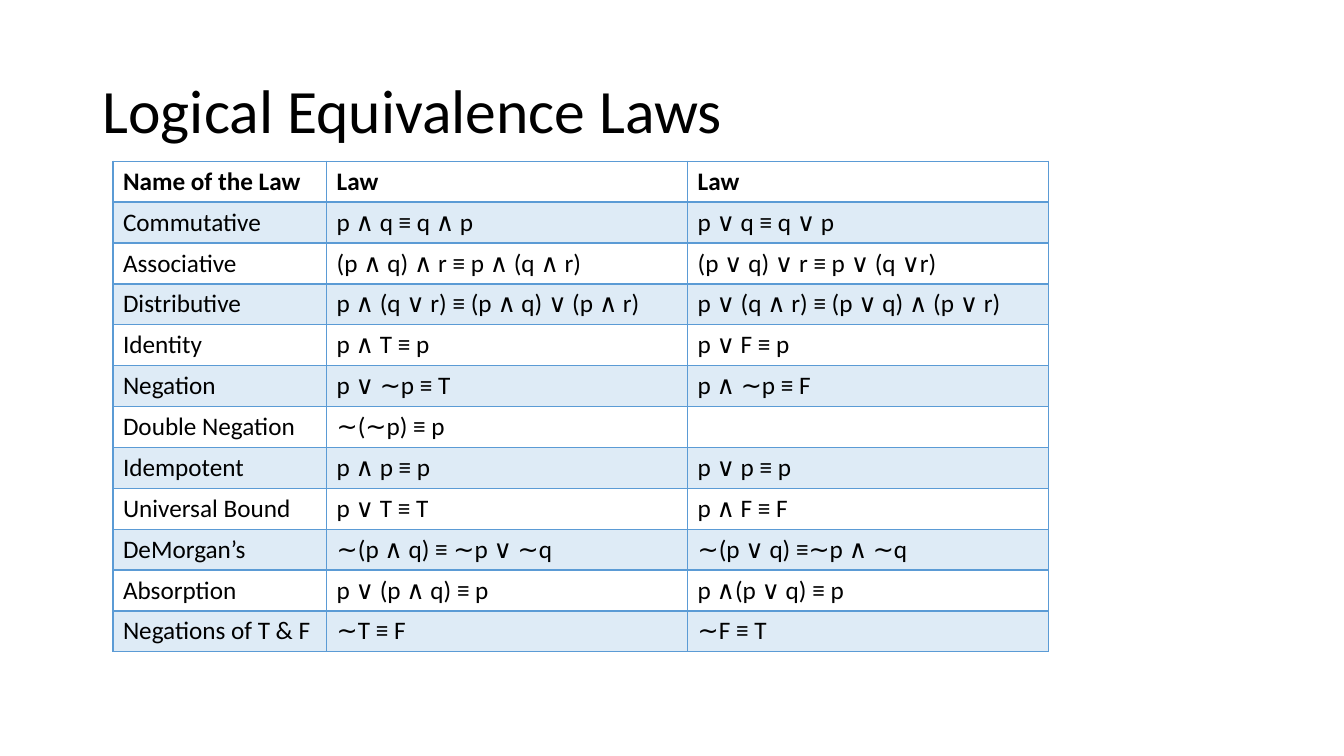
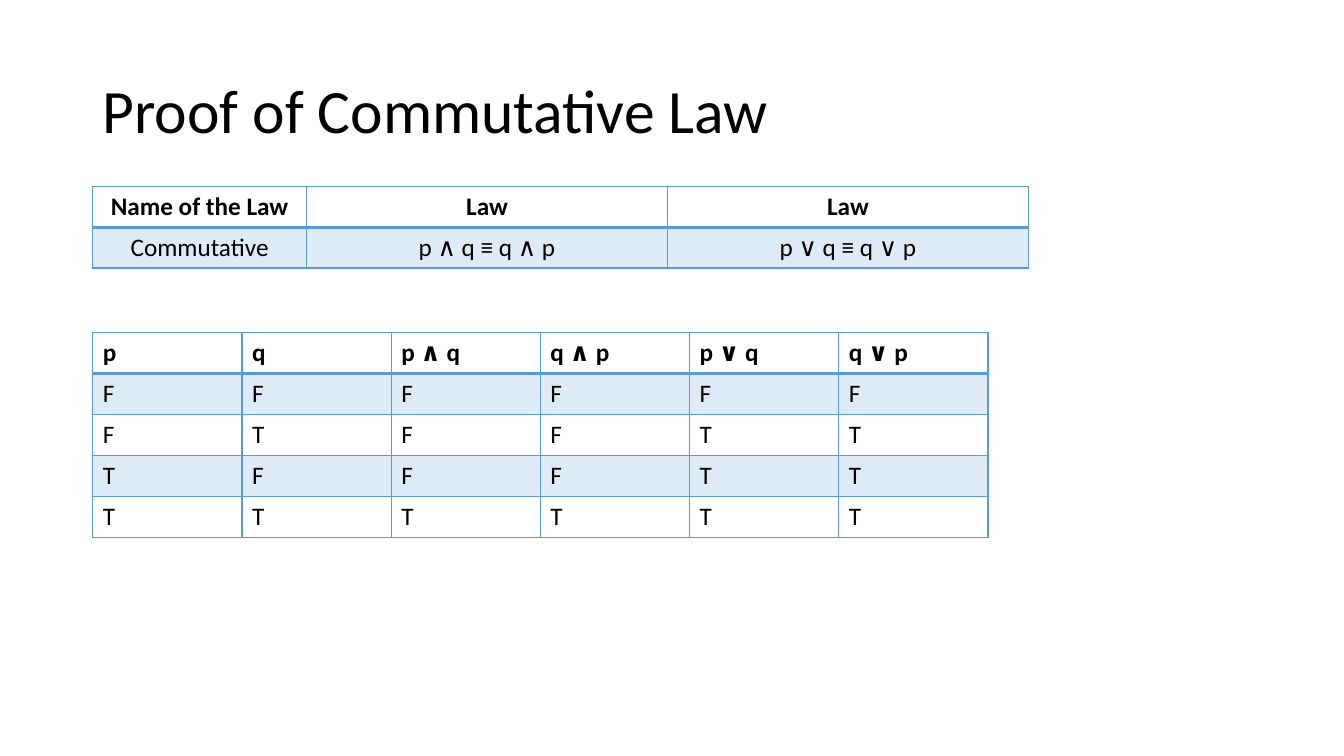
from lxml import etree
from pptx import Presentation
from pptx import util as u
from pptx.dml.color import RGBColor
from pptx.enum import text
from pptx.oxml import ns

COLOURS = {"text": "000000", "accent": "5B9BD5", "background": "FFFFFF"}
LAW_COLUMNS = [2.12, 3.58, 3.58]
LAW_HEADER = ["Name of the Law", "Law", "Law"]
COMMUTATIVE = ["Commutative", "p ∧ q ≡ q ∧ p", "p ∨ q ≡ q ∨ p"]


class Deck:
    """Holds the shared style and the current slide."""

    font = "Calibri"
    title_size = 44
    table_size = 18
    band_opacity = 20
    thin, thick = 1, 2

    def __init__(self):
        self.presentation = Presentation()
        self.presentation.slide_width = u.Inches(13.33)
        self.presentation.slide_height = u.Inches(7.5)
        self.slide = None

    def new_slide(self, title):
        self.slide = self.presentation.slides.add_slide(self.presentation.slide_layouts[6])
        background = self.slide.background.fill
        background.solid()
        background.fore_color.rgb = RGBColor.from_string(COLOURS["background"])
        self.title(title)

    def run(self, paragraph, words, size, bold=False):
        run = paragraph.add_run()
        run.text = words
        run.font.name = self.font
        run.font.size = u.Pt(size)
        run.font.bold = bold
        run.font.color.rgb = RGBColor.from_string(COLOURS["text"])

    def title(self, words):
        shape = self.slide.shapes.add_textbox(
            u.Inches(0.92), u.Inches(0.4), u.Inches(11.5), u.Inches(1.45))
        frame = shape.text_frame
        frame.word_wrap = True
        frame.vertical_anchor = text.MSO_ANCHOR.MIDDLE
        paragraph = frame.paragraphs[0]
        paragraph.line_spacing = 0.9
        self.run(paragraph, words, self.title_size)

    def table(self, left, top, columns, height, rows, align=text.PP_ALIGN.LEFT):
        """Draws a table with a bold header and every other row tinted."""
        table = self.slide.shapes.add_table(
            len(rows), len(columns), u.Inches(left), u.Inches(top),
            u.Inches(sum(columns)), u.Inches(height)).table
        table.first_row = table.horz_banding = False
        for column, width in zip(table.columns, columns):
            column.width = u.Inches(width)
        for row_index, row in enumerate(rows):
            header = row_index == 0
            for column_index, words in enumerate(row):
                cell = table.cell(row_index, column_index)
                self.fill_cell(cell, tinted=row_index % 2 == 1)
                self.cell_borders(cell, self.thick if header else self.thin)
                paragraph = cell.text_frame.paragraphs[0]
                paragraph.alignment = align
                if words:
                    self.run(paragraph, words, self.table_size, bold=header)

    def fill_cell(self, cell, tinted):
        if not tinted:
            cell.fill.background()
            return
        cell.fill.solid()
        cell.fill.fore_color.rgb = RGBColor.from_string(COLOURS["accent"])
        colour = cell.fill._xPr.find(".//" + ns.qn("a:srgbClr"))
        etree.SubElement(colour, ns.qn("a:alpha"), val=str(self.band_opacity * 1000))

    def cell_borders(self, cell, bottom):
        properties = cell._tc.get_or_add_tcPr()
        widths = {"lnL": self.thin, "lnR": self.thin, "lnT": self.thin, "lnB": bottom}
        # Borders come before the fill in the cell properties
        for index, (side, width) in enumerate(widths.items()):
            line = etree.Element(ns.qn("a:" + side), w=str(u.Pt(width)))
            fill = etree.SubElement(line, ns.qn("a:solidFill"))
            etree.SubElement(fill, ns.qn("a:srgbClr"), val=COLOURS["accent"])
            properties.insert(index, line)


def main():
    deck = Deck()

    # Slide 1: all the laws
    deck.new_slide("Logical Equivalence Laws")
    deck.table(1.12, 1.6, LAW_COLUMNS, 4.87, [
        LAW_HEADER,
        COMMUTATIVE,
        ["Associative", "(p ∧ q) ∧ r ≡ p ∧ (q ∧ r)", "(p ∨ q) ∨ r ≡ p ∨ (q ∨r)"],
        ["Distributive", "p ∧ (q ∨ r) ≡ (p ∧ q) ∨ (p ∧ r)",
         "p ∨ (q ∧ r) ≡ (p ∨ q) ∧ (p ∨ r)"],
        ["Identity", "p ∧ T ≡ p", "p ∨ F ≡ p"],
        ["Negation", "p ∨ ∼p ≡ T", "p ∧ ∼p ≡ F"],
        ["Double Negation", "∼(∼p) ≡ p", ""],
        ["Idempotent", "p ∧ p ≡ p", "p ∨ p ≡ p"],
        ["Universal Bound", "p ∨ T ≡ T", "p ∧ F ≡ F"],
        ["DeMorgan’s", "∼(p ∧ q) ≡ ∼p ∨ ∼q", "∼(p ∨ q) ≡∼p ∧ ∼q"],
        ["Absorption", "p ∨ (p ∧ q) ≡ p", "p ∧(p ∨ q) ≡ p"],
        ["Negations of T & F", "∼T ≡ F", "∼F ≡ T"],
    ])

    # Slide 2: the commutative law and its truth table
    deck.new_slide("Proof of Commutative Law")
    deck.table(0.92, 1.85, LAW_COLUMNS, 0.81, [LAW_HEADER, COMMUTATIVE],
               align=text.PP_ALIGN.CENTER)
    truth_rows = ["FFFFFF", "FTFFTT", "TFFFTT", "TTTTTT"]
    deck.table(0.92, 3.3, [1.48] * 6, 2.03, [
        ["p", "q", "p ∧ q", "q ∧ p", "p ∨ q", "q ∨ p"],
        *map(list, truth_rows),
    ])

    deck.presentation.save("out.pptx")


if __name__ == "__main__":
    main()
